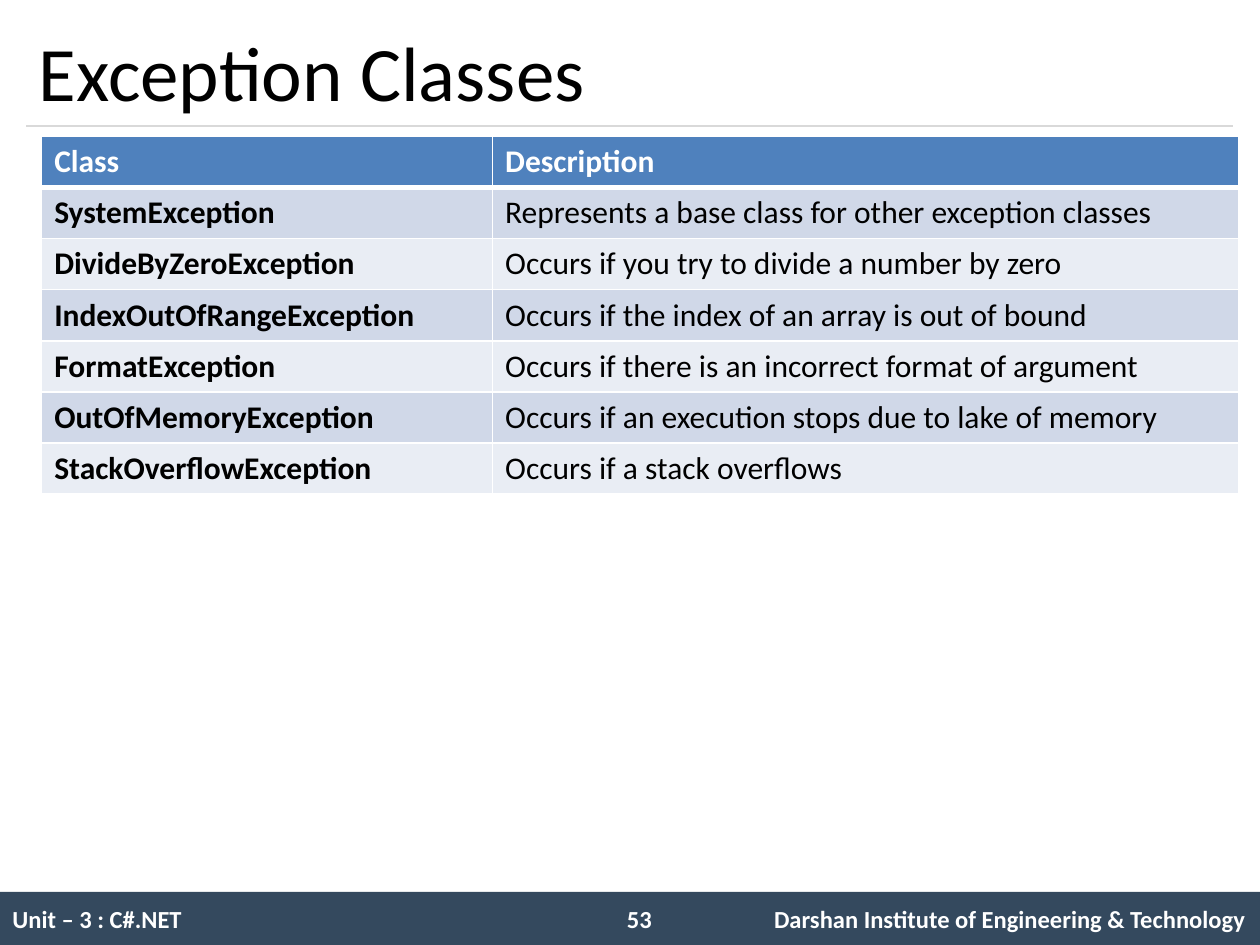
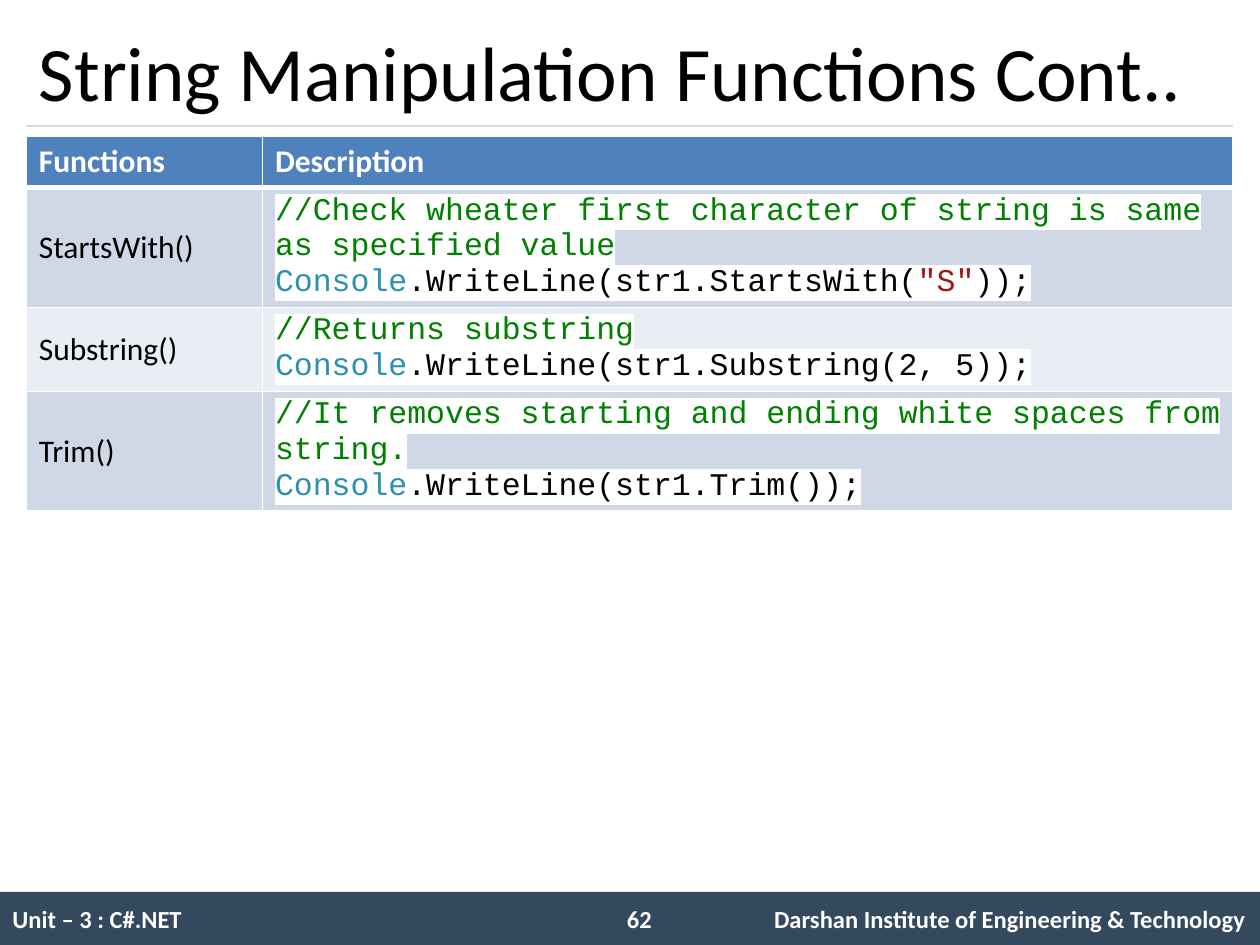
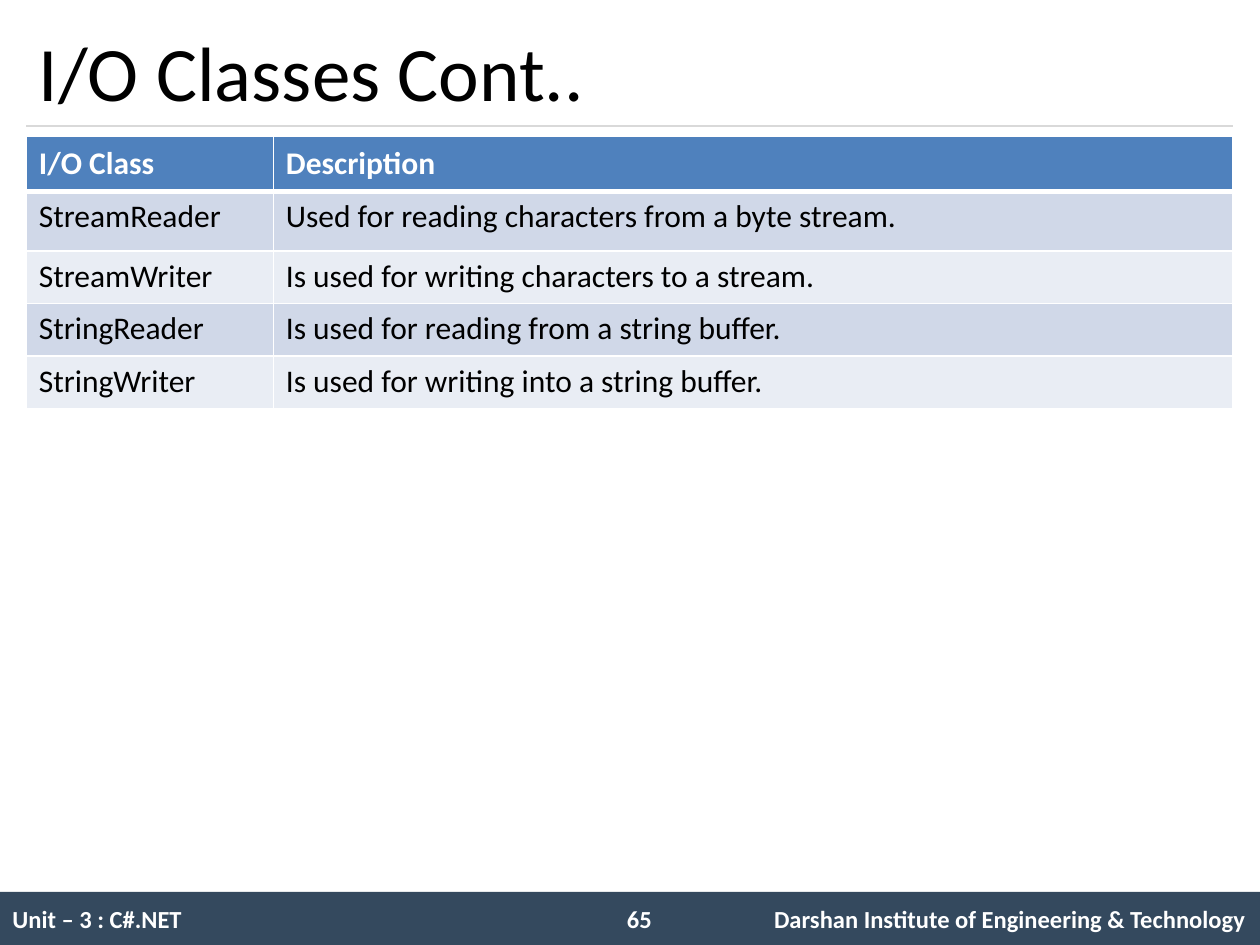
from lxml import etree
from pptx import Presentation
from pptx.dml.color import RGBColor
from pptx.enum import shapes, text
from pptx.oxml import ns
from pptx.util import Cm, Pt

WHITE, BLACK = "FFFFFF", "000000"
FOOTER_FILL, RULE = "34495E", "D9D9D9"
HEADER_FILL, BANDS = "4F81BD", ("E9EDF4", "D0D8E8")
COMMENT, TYPE, STRING = "008000", "2B91AF", "A31515"
LEFT, WIDTH = 0.53, 24.33
TOP, MIDDLE = text.MSO_ANCHOR.TOP, text.MSO_ANCHOR.MIDDLE


def rgb(value):
    return RGBColor.from_string(value)


def add_run(paragraph, words, color, highlight=None, **font_format):
    run = paragraph.add_run()
    run.text = words
    run.font.color.rgb = rgb(color)
    if highlight:
        mark = etree.SubElement(run.font._element, ns.qn("a:highlight"))
        etree.SubElement(mark, ns.qn("a:srgbClr"), val=highlight)
    for key, value in {"name": "Calibri", "bold": False, **font_format}.items():
        setattr(run.font, key, value)


# Content: code cells are lists of lines, each line a list of (words, colour)
slides = [
    dict(title="Exception Classes", number=53, left=0.84, columns=(9.09, 15.04),
         heights=[1.03] * 7, anchors=(TOP, TOP), bold_names=True, rows=[
             ("Class", "Description"),
             ("SystemException", "Represents a base class for other exception classes"),
             ("DivideByZeroException", "Occurs if you try to divide a number by zero"),
             ("IndexOutOfRangeException", "Occurs if the index of an array is out of bound"),
             ("FormatException", "Occurs if there is an incorrect format of argument"),
             ("OutOfMemoryException", "Occurs if an execution stops due to lake of memory"),
             ("StackOverflowException", "Occurs if a stack overflows")]),
    dict(title="String Manipulation Functions Cont..", number=62, left=LEFT,
         columns=(4.76, 19.57), heights=[1.03, 2.4, 1.68, 2.4],
         anchors=(MIDDLE, MIDDLE), bold_names=False, rows=[
             ("Functions", "Description"),
             ("StartsWith()", [
                 [("//Check wheater first character of string is same as specified value",
                   COMMENT)],
                 [("Console", TYPE), (".WriteLine(str1.StartsWith(", BLACK),
                  ('"S"', STRING), ("));", BLACK)]]),
             ("Substring()", [
                 [("//Returns substring", COMMENT)],
                 [("Console", TYPE), (".WriteLine(str1.Substring(2, 5));", BLACK)]]),
             ("Trim()", [
                 [("//It removes starting and ending white spaces from string.", COMMENT)],
                 [("Console", TYPE), (".WriteLine(str1.Trim());", BLACK)]])]),
    dict(title="I/O Classes Cont..", number=65, left=LEFT, columns=(4.98, 19.35),
         heights=[1.11, 1.2, 1.06, 1.06, 1.06], anchors=(MIDDLE, TOP),
         bold_names=False, rows=[
             ("I/O Class", "Description"),
             ("StreamReader", "Used for reading characters from a byte stream."),
             ("StreamWriter", "Is used for writing characters to a stream."),
             ("StringReader", "Is used for reading from a string buffer."),
             ("StringWriter", "Is used for writing into a string buffer.")]),
]

deck = Presentation()
deck.slide_width, deck.slide_height = Cm(25.4), Cm(19.05)

for content in slides:
    slide = deck.slides.add_slide(deck.slide_layouts[5])

    # Footer band: unit, page number and institute at tab stops
    footer = slide.shapes.add_shape(shapes.MSO_SHAPE.RECTANGLE,
                                    0, Cm(17.98), Cm(25.4), Cm(1.07))
    footer.shadow.inherit = False
    footer.fill.solid()
    footer.fill.fore_color.rgb = rgb(FOOTER_FILL)
    footer.line.fill.background()
    footer.text_frame.vertical_anchor = MIDDLE
    footer_line = footer.text_frame.paragraphs[0]
    footer_line.alignment = text.PP_ALIGN.LEFT
    tabs = etree.SubElement(footer_line._p.get_or_add_pPr(), ns.qn("a:tabLst"))
    for position, align in ((12.64, "ctr"), (24.86, "r")):
        etree.SubElement(tabs, ns.qn("a:tab"), pos=str(Cm(position)), algn=align)
    add_run(footer_line, f"Unit – 3 : C#.NET\t{content['number']}\t"
            "Darshan Institute of Engineering & Technology",
            WHITE, size=Pt(14), bold=True)

    # Title and the rule under it
    title = slide.shapes.title
    title.left, title.top, title.width, title.height = (
        Cm(LEFT), Cm(0.3), Cm(WIDTH), Cm(2.24))
    title.text_frame.vertical_anchor = MIDDLE
    title.text_frame.auto_size = text.MSO_AUTO_SIZE.NONE
    title_line = title.text_frame.paragraphs[0]
    title_line.alignment = text.PP_ALIGN.LEFT
    add_run(title_line, content["title"], BLACK, size=Pt(44))

    rule = slide.shapes.add_connector(shapes.MSO_CONNECTOR.STRAIGHT, Cm(LEFT), Cm(2.54),
                                      Cm(LEFT + WIDTH), Cm(2.54))
    rule.line.color.rgb = rgb(RULE)
    rule.line.width = Pt(0.75)
    etree.SubElement(rule._element.spPr, ns.qn("a:effectLst"))

    # Table of names and descriptions
    rows, columns, heights = content["rows"], content["columns"], content["heights"]
    table = slide.shapes.add_table(len(rows), len(columns), Cm(content["left"]), Cm(2.75),
                                   Cm(sum(columns)), Cm(sum(heights))).table
    for column, width in zip(table.columns, columns):
        column.width = Cm(width)
    for row, height in zip(table.rows, heights):
        row.height = Cm(height)

    for r, row in enumerate(rows):
        header = r == 0
        for c, entry in enumerate(row):
            cell = table.cell(r, c)
            cell.vertical_anchor = content["anchors"][0 if header else 1]

            # White borders, heavier between header and body
            for side in "LRTB":
                heavy = (r, side) in ((0, "B"), (1, "T"))
                border = etree.SubElement(cell._tc.get_or_add_tcPr(), ns.qn(f"a:ln{side}"),
                                          w=str(Pt(3 if heavy else 1)))
                border_fill = etree.SubElement(border, ns.qn("a:solidFill"))
                etree.SubElement(border_fill, ns.qn("a:srgbClr"), val=WHITE)
            cell.fill.solid()
            cell.fill.fore_color.rgb = rgb(HEADER_FILL if header else BANDS[r % 2])

            # Plain words or highlighted code
            frame = cell.text_frame
            if isinstance(entry, str):
                add_run(frame.paragraphs[0], entry, WHITE if header else BLACK, size=Pt(18),
                        bold=header or (c == 0 and content["bold_names"]))
                continue
            for n, code_line in enumerate(entry):
                paragraph = frame.add_paragraph() if n else frame.paragraphs[0]
                for words, color in code_line:
                    add_run(paragraph, words, color, highlight=WHITE,
                            name="Courier New", size=Pt(18))

deck.save("out.pptx")
